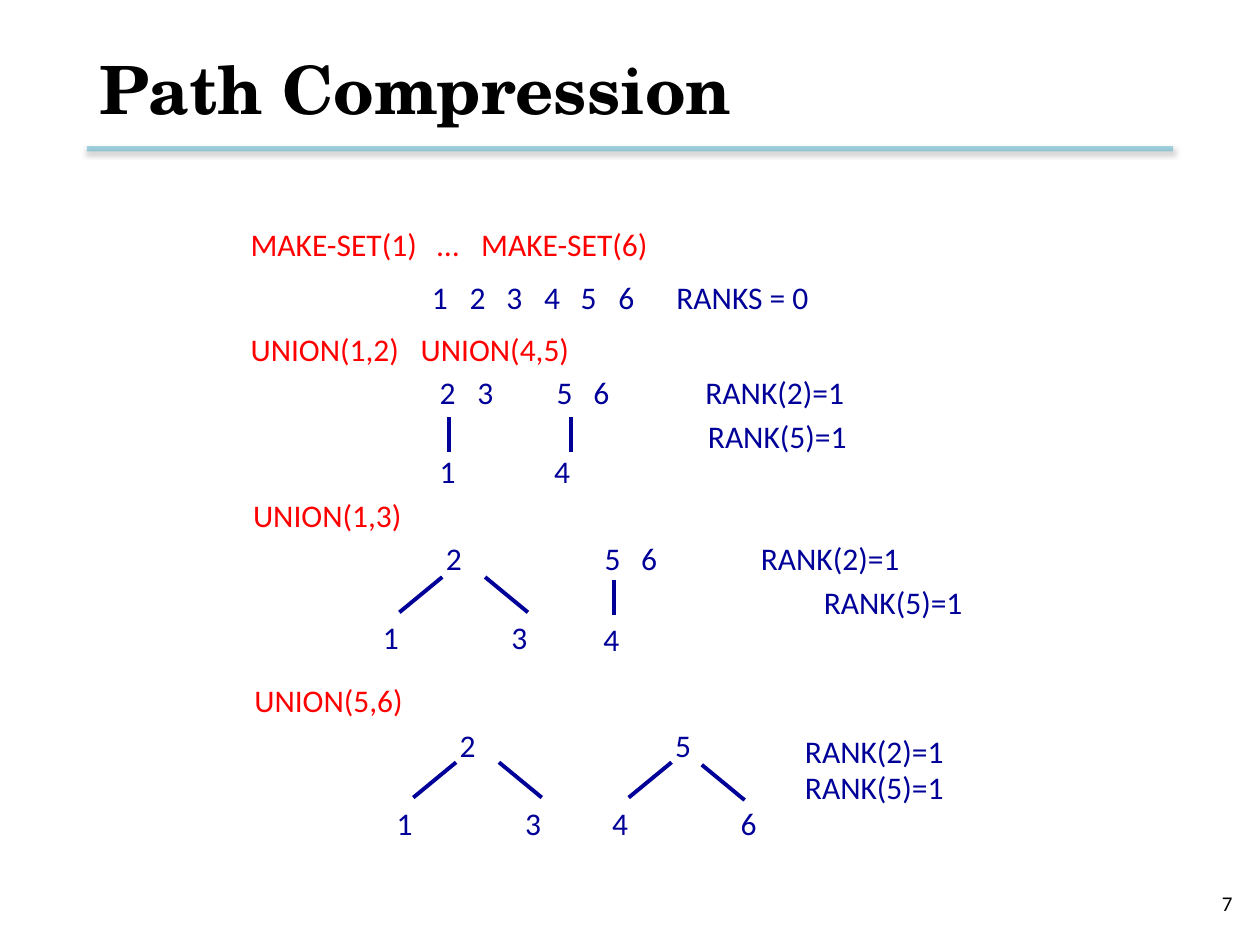
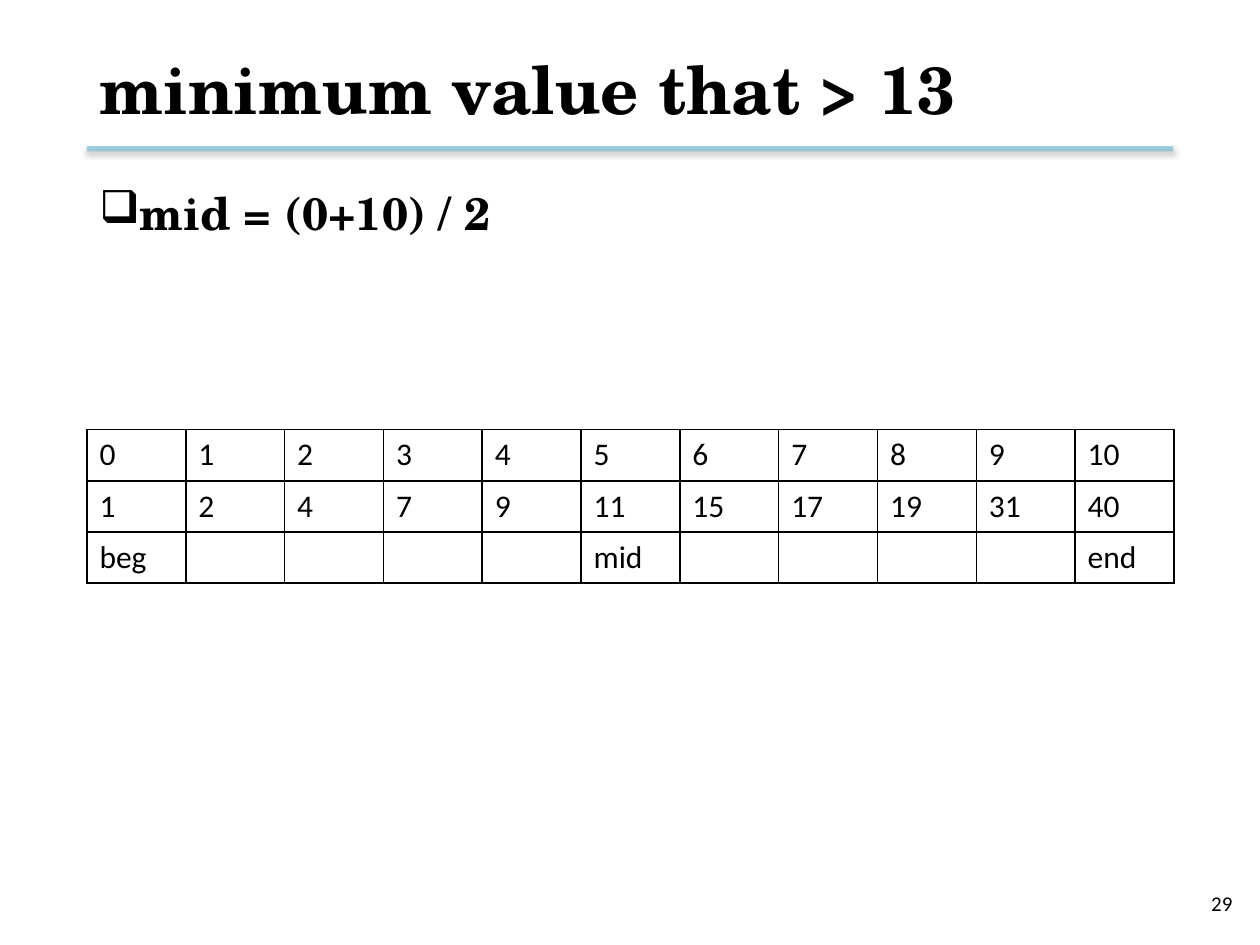
"""Build two slides: a union-find trace and one step of a binary search."""
from lxml import etree
from pptx import Presentation
from pptx.dml.color import RGBColor
from pptx.enum import shapes, text
from pptx.oxml import parse_xml
from pptx.oxml.ns import nsdecls, qn
from pptx.util import Inches, Pt

THEME = {
    "rule": "4BACC6",
    "edge": "000099",
    "grid": "000000",
    "title": {"name": "TeX Gyre Schola", "size": 38, "bold": True, "color": "000000"},
    "body": {"name": "TeX Gyre Schola", "size": 26, "bold": True, "color": "000000"},
    "call": {"name": "Calibri", "size": 18, "bold": False, "color": "FF0000"},
    "node": {"name": "Calibri", "size": 18, "bold": False, "color": "000099"},
    "cell": {"name": "Calibri", "size": 18, "bold": False, "color": "000000"},
    "number": {"name": "Calibri", "size": 12, "bold": False, "color": "000000"},
}


def write(tf, content, style, tabs=()):
    """Fill a text frame with one paragraph, with tab stops in inches."""
    tf.word_wrap = True
    p = tf.paragraphs[0]
    p.alignment = text.PP_ALIGN.LEFT
    if tabs:
        tab_list = etree.SubElement(p._p.get_or_add_pPr(), qn("a:tabLst"))
        for stop in tabs:
            etree.SubElement(tab_list, qn("a:tab"), pos=str(Inches(stop)), algn="l")
    r = p.add_run()
    r.text = content
    values = dict(THEME[style])
    r.font.color.rgb = RGBColor.from_string(values.pop("color"))
    values["size"] = Pt(values["size"])
    for name, value in values.items():
        setattr(r.font, name, value)
    return p


def add_line(s, x1, y1, x2, y2, color, width):
    """Draw a straight line without a shadow."""
    line = s.shapes.add_connector(shapes.MSO_CONNECTOR.STRAIGHT,
                                  Inches(x1), Inches(y1), Inches(x2), Inches(y2))
    line.line.color.rgb = RGBColor.from_string(color)
    line.line.width = Pt(width)
    etree.SubElement(line._element.spPr, qn("a:effectLst"))
    return line


prs = Presentation()
prs.slide_width, prs.slide_height = Inches(10), Inches(7.5)

for title, number in [("Path Compression", "7"), ("minimum value that > 13", "29")]:
    s = prs.slides.add_slide(prs.slide_layouts[5])
    rule = add_line(s, 0.69, 1.18, 9.31, 1.18, THEME["rule"], 3)
    sp_pr = rule._element.spPr
    etree.SubElement(sp_pr.find(".//" + qn("a:srgbClr")), qn("a:alpha"), val="50000")
    sp_pr.find(qn("a:effectLst")).append(parse_xml(
        f'<a:outerShdw {nsdecls("a")} blurRad="{Pt(3.1)}" dist="{Pt(1.6)}" dir="5400000" '
        'rotWithShape="0"><a:srgbClr val="000000"><a:alpha val="38000"/></a:srgbClr>'
        '</a:outerShdw>'))
    sp = s.shapes.title
    sp.left, sp.top, sp.width, sp.height = map(Inches, (0.69, 0.17, 8.62, 1.06))
    sp.text_frame.vertical_anchor = text.MSO_ANCHOR.MIDDLE
    write(sp.text_frame, title, "title")
    sp = s.shapes.add_textbox(*map(Inches, (7.55, 6.97, 2.33, 0.4)))
    sp.text_frame.vertical_anchor = text.MSO_ANCHOR.MIDDLE
    write(sp.text_frame, number, "number").alignment = text.PP_ALIGN.RIGHT

union_slide, search_slide = prs.slides

labels = [
    (1.89, 1.74, 3.72, "MAKE-SET(1)\t…\tMAKE-SET(6)", "call", (1.48, 1.83)),
    (3.33, 2.16, 3.64, "1\t2\t3\t4\t5\t6\tRANKS = 0", "node",
     (0.3, 0.59, 0.89, 1.18, 1.48, 1.94)),
    (1.89, 2.57, 3.05, "UNION(1,2)\tUNION(4,5)", "call", (1.35,)),
    (3.39, 2.91, 4.85, "2\t3\t5\t6\tRANK(2)=1", "node", (0.3, 0.93, 1.22, 2.11)),
    (3.39, 3.54, 0.46, "1", "node", ()),
    (4.3, 3.54, 0.46, "4", "node", ()),
    (5.52, 3.26, 2.01, "RANK(5)=1", "node", ()),
    (1.91, 3.89, 1.52, "UNION(1,3)", "call", ()),
    (3.44, 4.23, 4.49, "2\t5\t6\tRANK(2)=1", "node", (1.26, 1.55, 2.5)),
    (4.69, 4.87, 0.46, "4", "node", ()),
    (6.44, 4.58, 2.01, "RANK(5)=1", "node", ()),
    (1.92, 5.36, 1.52, "UNION(5,6)", "call", ()),
    (3.55, 5.71, 0.46, "2", "node", ()),
    (5.26, 5.71, 0.46, "5", "node", ()),
    (6.29, 5.76, 2.01, "RANK(2)=1", "node", ()),
    (6.29, 6.05, 2.01, "RANK(5)=1", "node", ()),
]
trees = [(3.44, 4.24, "1", "3", 0.41, 0.34),
         (3.55, 5.71, "1", "3", 0.41, 0.34),
         (5.26, 5.71, "4", "6", 0.31, 0.36)]
edges = [(x, y, x, y + 0.28) for x, y in [(3.56, 3.31), (4.53, 3.31), (4.87, 4.6)]]
for x, y, left_child, right_child, right_dx, right_dy in trees:
    labels += [(x - 0.5, y + 0.62, 0.46, left_child, "node", ()),
               (x + 0.52, y + 0.62, 0.46, right_child, "node", ())]
    edges += [(x + 0.07, y + 0.34, x - 0.27, y + 0.62),
              (x + right_dx, y + right_dy, x + right_dx + 0.34, y + right_dy + 0.28)]

for x, y, width, content, style, tabs in labels:
    sp = union_slide.shapes.add_textbox(Inches(x), Inches(y), Inches(width), Inches(0.4))
    write(sp.text_frame, content, style, tabs)
for edge in edges:
    add_line(union_slide, *edge, THEME["edge"], 2.25)

rows = [
    range(11),
    [1, 2, 4, 7, 9, 11, 15, 17, 19, 31, 40],
    ["beg", "", "", "", "", "mid", "", "", "", "", "end"],
]
frame = search_slide.shapes.add_table(3, 11, *map(Inches, (0.69, 3.41, 8.63, 1.22)))
table = frame.table
table.first_row = table.horz_banding = False
for i, row in enumerate(rows):
    for j, value in enumerate(row):
        cell = table.cell(i, j)
        write(cell.text_frame, str(value), "cell")
        tc_pr = cell._tc.get_or_add_tcPr()
        for side in ("lnL", "lnR", "lnT", "lnB"):
            border = etree.SubElement(tc_pr, qn(f"a:{side}"), w=str(Pt(1)))
            fill = etree.SubElement(border, qn("a:solidFill"))
            etree.SubElement(fill, qn("a:srgbClr"), val=THEME["grid"])
        cell.fill.background()

sp = search_slide.shapes.add_textbox(*map(Inches, (0.69, 1.42, 8.62, 5.1)))
p = write(sp.text_frame, "mid = (0+10) / 2", "body")
p_pr = p._p.get_or_add_pPr()
p_pr.set("marL", str(Inches(0.32)))
p_pr.set("indent", str(-Inches(0.32)))
etree.SubElement(p_pr, qn("a:buChar"), char="❑")

prs.save("out.pptx")
